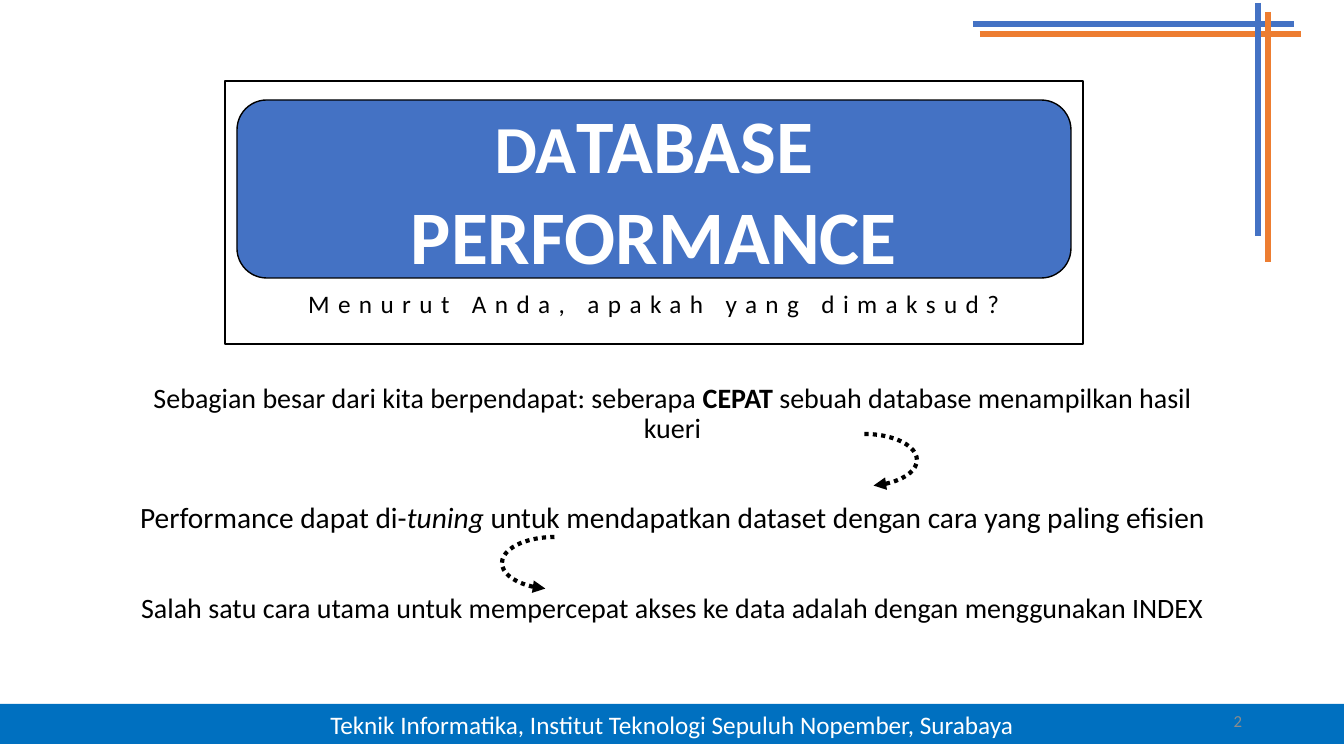
"""Build the database performance slide with its title panel, statements and footer."""
import pptx
import pptx.util
import pptx.dml.color
import pptx.enum.dml
import pptx.enum.shapes
import pptx.enum.text
import pptx.oxml
import pptx.oxml.ns
from dataclasses import dataclass

SLIDE_SIZE = (1344, 756)
FOOTER = "Teknik Informatika, Institut Teknologi Sepuluh Nopember, Surabaya"
PAGE_NUMBER = "2"
QUESTION = "Menurut Anda, apakah yang dimaksud?"

FOOTER_BOX = (0, 704, 1344, 40)
TITLE_BOX = (237, 100, 834, 178)
FRAME_BOX = (225, 81, 858, 263)
STATEMENTS_BOX = (118, 379, 1109, 286)
NUMBER_BOX = (950, 701, 302, 40)
ARROW_SIZE = (105, 52)
ARROWS = [(812, 434, False), (502, 537, True)]
STRIPES = [
    ((973, 24, 1294, 24), "blue"),
    ((980, 34, 1301, 34), "orange"),
    ((1258, 3, 1258, 236), "blue"),
    ((1268, 12, 1268, 262), "orange"),
]


@dataclass(frozen=True)
class Theme:
    font: str = "Calibri"
    blue: str = "4472C4"
    orange: str = "ED7D31"
    footer: str = "0070C0"
    ink: str = "000000"
    white: str = "FFFFFF"
    grey: str = "8C8C8C"
    title_size: int = 54
    title_start_size: int = 48
    tuning_size: int = 21
    statement_size: int = 20
    label_size: int = 18
    number_size: int = 12
    letter_spacing: int = 6
    line_spacing: float = 0.9
    statement_gap: int = 42


THEME = Theme()
TITLE = [("DA", THEME.title_start_size, "bold"), ("TABASE PERFORMANCE", THEME.title_size, "bold")]
STATEMENTS = [
    [
        ("Sebagian besar dari kita berpendapat: seberapa ", THEME.statement_size, ""),
        ("CEPAT ", THEME.statement_size, "bold"),
        ("sebuah database menampilkan hasil kueri", THEME.statement_size, ""),
    ],
    [
        ("Performance dapat di-", THEME.tuning_size, ""),
        ("tuning ", THEME.tuning_size, "italic"),
        ("untuk mendapatkan dataset dengan cara yang paling efisien", THEME.tuning_size, ""),
    ],
    [
        ("Salah satu cara utama untuk mempercepat akses ke data adalah dengan menggunakan INDEX",
         THEME.statement_size, ""),
    ],
]

SHAPES = pptx.enum.shapes.MSO_SHAPE
ANCHOR = pptx.enum.text.MSO_ANCHOR
ALIGN = pptx.enum.text.PP_ALIGN


def px(*lengths):
    return [pptx.util.Emu(round(length * 12192000 / SLIDE_SIZE[0])) for length in lengths]


def rgb(color):
    return pptx.dml.color.RGBColor.from_string(color)


def add_shape(slide, kind, box, fill=None, line=None, width=1):
    shape = slide.shapes.add_shape(kind, *px(*box))
    shape.shadow.inherit = False
    if fill:
        shape.fill.solid()
        shape.fill.fore_color.rgb = rgb(fill)
    else:
        shape.fill.background()
    if line:
        shape.line.color.rgb = rgb(line)
        shape.line.width = pptx.util.Pt(width)
    else:
        shape.line.fill.background()
    return shape


def write(shape, paragraphs, color, anchor=ANCHOR.MIDDLE, align=ALIGN.CENTER):
    frame = shape.text_frame
    frame.word_wrap = True
    frame.vertical_anchor = anchor
    frame.text = "\n".join("" for _ in paragraphs)
    for paragraph, runs in zip(frame.paragraphs, paragraphs):
        paragraph.alignment = align
        for text, size, style in runs:
            run = paragraph.add_run()
            run.text = text
            run.font.name = THEME.font
            run.font.size = pptx.util.Pt(size)
            run.font.color.rgb = rgb(color)
            run.font.bold = style == "bold"
            run.font.italic = style == "italic"
    return frame


def add_stripe(slide, ends, color):
    stripe = slide.shapes.add_connector(pptx.enum.shapes.MSO_CONNECTOR.STRAIGHT, *px(*ends))
    stripe.line.color.rgb = rgb(color)
    stripe.line.width = pptx.util.Pt(4.5)
    pptx.oxml.ns.qn("a:effectLst")
    stripe._element.spPr.append(pptx.oxml.parse_xml(
        f"<a:effectLst {pptx.oxml.ns.nsdecls('a')}/>"))


def add_arrow(slide, left, top, flipped):
    arrow = add_shape(slide, SHAPES.ARC, (left, top, *ARROW_SIZE), line=THEME.ink, width=3)
    arrow.adjustments[0] = 162
    arrow.adjustments[1] = 42.21
    arrow.line.dash_style = pptx.enum.dml.MSO_LINE.ROUND_DOT
    arrow.line._get_or_add_ln().append(pptx.oxml.parse_xml(
        f"<a:tailEnd {pptx.oxml.ns.nsdecls('a')} type='triangle'/>"))
    if flipped:
        arrow._element.spPr.xfrm.set("flipH", "1")


def add_title_panel(slide):
    title = add_shape(slide, SHAPES.ROUNDED_RECTANGLE, TITLE_BOX, THEME.blue, THEME.ink)
    write(title, [TITLE], THEME.white)
    panel = add_shape(slide, SHAPES.RECTANGLE, FRAME_BOX, line=THEME.ink)
    frame = write(panel, [[(QUESTION, THEME.label_size, "")]], THEME.ink, ANCHOR.BOTTOM)
    frame.margin_bottom = px(25)[0]
    properties = frame.paragraphs[0].runs[0].font._element
    properties.set("spc", str(THEME.letter_spacing * 100))


def add_statements(slide):
    box = slide.shapes.add_textbox(*px(*STATEMENTS_BOX))
    frame = write(box, STATEMENTS, THEME.ink, ANCHOR.TOP)
    for index, paragraph in enumerate(frame.paragraphs):
        paragraph.line_spacing = THEME.line_spacing
        paragraph.space_before = pptx.util.Pt(THEME.statement_gap if index else 0)


def main():
    presentation = pptx.Presentation()
    presentation.slide_width, presentation.slide_height = px(*SLIDE_SIZE)
    slide = presentation.slides.add_slide(presentation.slide_layouts[6])
    footer = add_shape(slide, SHAPES.RECTANGLE, FOOTER_BOX, THEME.footer)
    write(footer, [[(FOOTER, THEME.label_size, "")]], THEME.white)
    for ends, color in STRIPES:
        add_stripe(slide, ends, getattr(THEME, color))
    add_title_panel(slide)
    add_statements(slide)
    number = slide.shapes.add_textbox(*px(*NUMBER_BOX))
    write(number, [[(PAGE_NUMBER, THEME.number_size, "")]], THEME.grey, align=ALIGN.RIGHT)
    for arrow in ARROWS:
        add_arrow(slide, *arrow)
    presentation.save("out.pptx")


if __name__ == "__main__":
    main()
